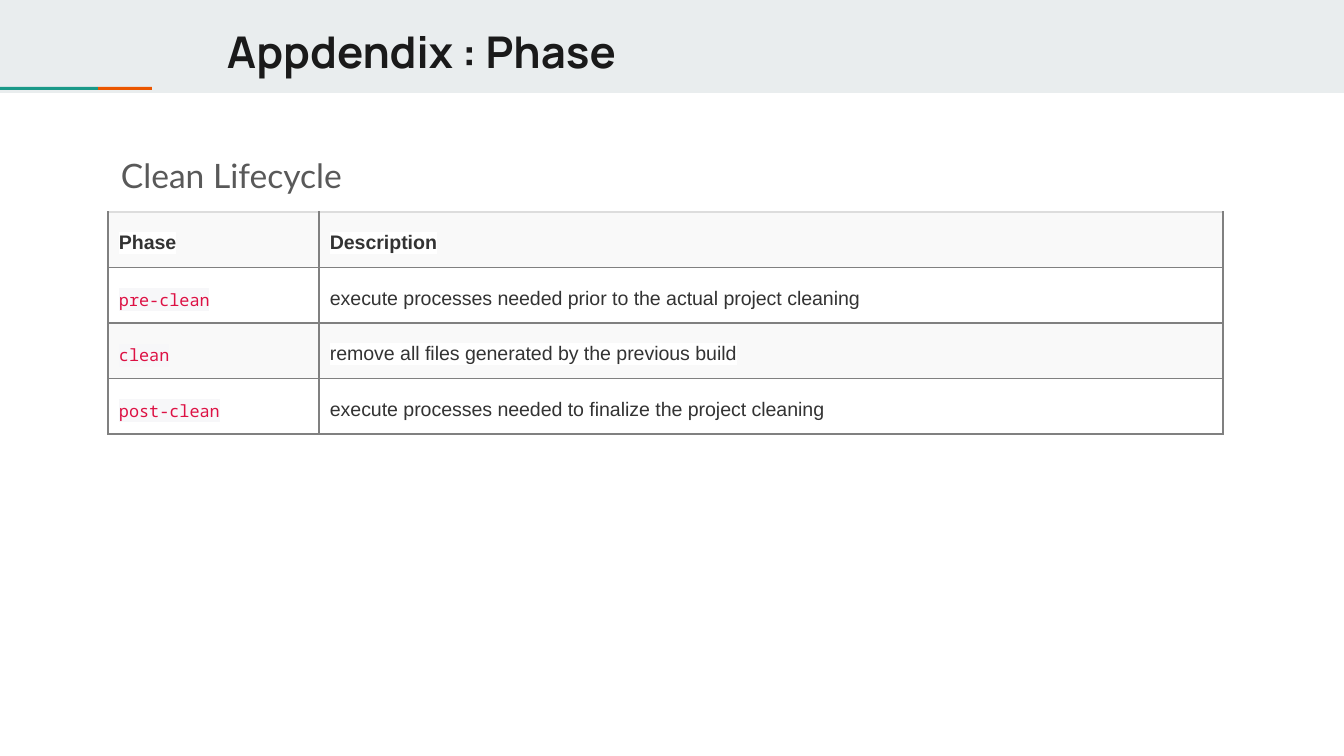
"""Build the appendix slide that lists the phases of the clean lifecycle."""
from dataclasses import dataclass

from lxml import etree
from pptx import Presentation
from pptx import util as u
from pptx.dml.color import RGBColor
from pptx.enum import shapes, text
from pptx.oxml.ns import qn


@dataclass(frozen=True)
class Theme:
    band: str = "E9EDEE"
    green: str = "1A9988"
    orange: str = "EB5600"
    title: str = "1A1A1A"
    heading: str = "595959"
    body: str = "333333"
    code: str = "DD1144"
    code_back: str = "F7F7F9"
    white: str = "FFFFFF"
    stripe: str = "F9F9F9"
    border: str = "808080"
    border_top: str = "DDDDDD"
    title_size: float = 23.4
    heading_size: float = 18
    body_size: float = 10.5
    code_size: float = 9


THEME = Theme()
EMU_PER_PX = 914400 / 134.4


def px(*lengths):
    return [u.Emu(round(length * EMU_PER_PX)) for length in lengths]


def write(frame, words, *, font, size, color, bold=False, back=None,
          spacing=None, after=None, inset=13, anchor=text.MSO_ANCHOR.TOP):
    frame.word_wrap = True
    frame.vertical_anchor = anchor
    (frame.margin_left, frame.margin_top,
     frame.margin_right, frame.margin_bottom) = px(*[inset] * 4)
    para = frame.paragraphs[0]
    para.alignment = text.PP_ALIGN.LEFT
    para.line_spacing = spacing
    para.space_after = None if after is None else u.Pt(after)
    span = para.add_run()
    span.text = words
    span.font.size = u.Pt(size)
    span.font.bold = bold
    span.font.color.rgb = RGBColor.from_string(color)
    span.font.name = font
    if back:
        highlight = etree.Element(qn("a:highlight"))
        etree.SubElement(highlight, qn("a:srgbClr"), val=back)
        span.font.fill  
        span._r.get_or_add_rPr().find(qn("a:solidFill")).addnext(highlight)


deck = Presentation()
deck.slide_width, deck.slide_height = px(1344, 756)
page = deck.slides.add_slide(deck.slide_layouts[5])

for bounds, color in [
    ((0, 0, 1344, 93), THEME.band),
    ((98, 87, 54, 3), THEME.orange),
    ((0, 87, 98, 3), THEME.green),
]:
    bar = page.shapes.add_shape(shapes.MSO_SHAPE.RECTANGLE, *px(*bounds))
    bar.shadow.inherit = False
    bar.fill.solid()
    bar.fill.fore_color.rgb = RGBColor.from_string(color)
    bar.line.fill.background()

title = page.shapes.title
title.left, title.top, title.width, title.height = px(214, 12, 1130, 79)
title.element.getparent().append(title.element)
title.text_frame.auto_size = text.MSO_AUTO_SIZE.NONE
write(title.text_frame, "Appdendix : Phase", font="Manrope", bold=True,
      size=THEME.title_size, color=THEME.title, anchor=text.MSO_ANCHOR.MIDDLE)

heading = page.shapes.add_textbox(*px(108, 122, 1130, 516))
write(heading.text_frame, "Clean Lifecycle", font="Lato", spacing=1.5, after=12,
      size=THEME.heading_size, color=THEME.heading)

rows = [
    ("Phase", "Description"),
    ("pre-clean", "execute processes needed prior to the actual project cleaning"),
    ("clean", "remove all files generated by the previous build"),
    ("post-clean", "execute processes needed to finalize the project cleaning"),
]
row_height = 52
table = page.shapes.add_table(
    len(rows), 2, *px(108, 212, 1115, row_height * len(rows))).table
for column, width in zip(table.columns, px(211, 904)):
    column.width = width

for r, row in enumerate(rows):
    table.rows[r].height = px(row_height)[0]
    for c, words in enumerate(row):
        cell = table.cell(r, c)
        is_code = r > 0 and c == 0
        cell.fill.solid()
        cell.fill.fore_color.rgb = RGBColor.from_string(
            THEME.white if r % 2 else THEME.stripe)
        cell.margin_left, cell.margin_top, cell.margin_right, cell.margin_bottom = px(
            *[11] * 4)
        write(cell.text_frame, words, spacing=1.43, after=15, inset=11, bold=r == 0,
              font="Noto Sans Mono" if is_code else "Arial",
              size=THEME.code_size if is_code else THEME.body_size,
              color=THEME.code if is_code else THEME.body,
              back=THEME.code_back if is_code else THEME.white)
        properties = cell._tc.get_or_add_tcPr()
        for place, side in enumerate("LRTB"):
            line = etree.Element(qn(f"a:ln{side}"), w=str(u.Pt(0.75)))
            fill = etree.SubElement(line, qn("a:solidFill"))
            color = THEME.border_top if r == 0 and side == "T" else THEME.border
            etree.SubElement(fill, qn("a:srgbClr"), val=color)
            properties.insert(place, line)

deck.save("out.pptx")
